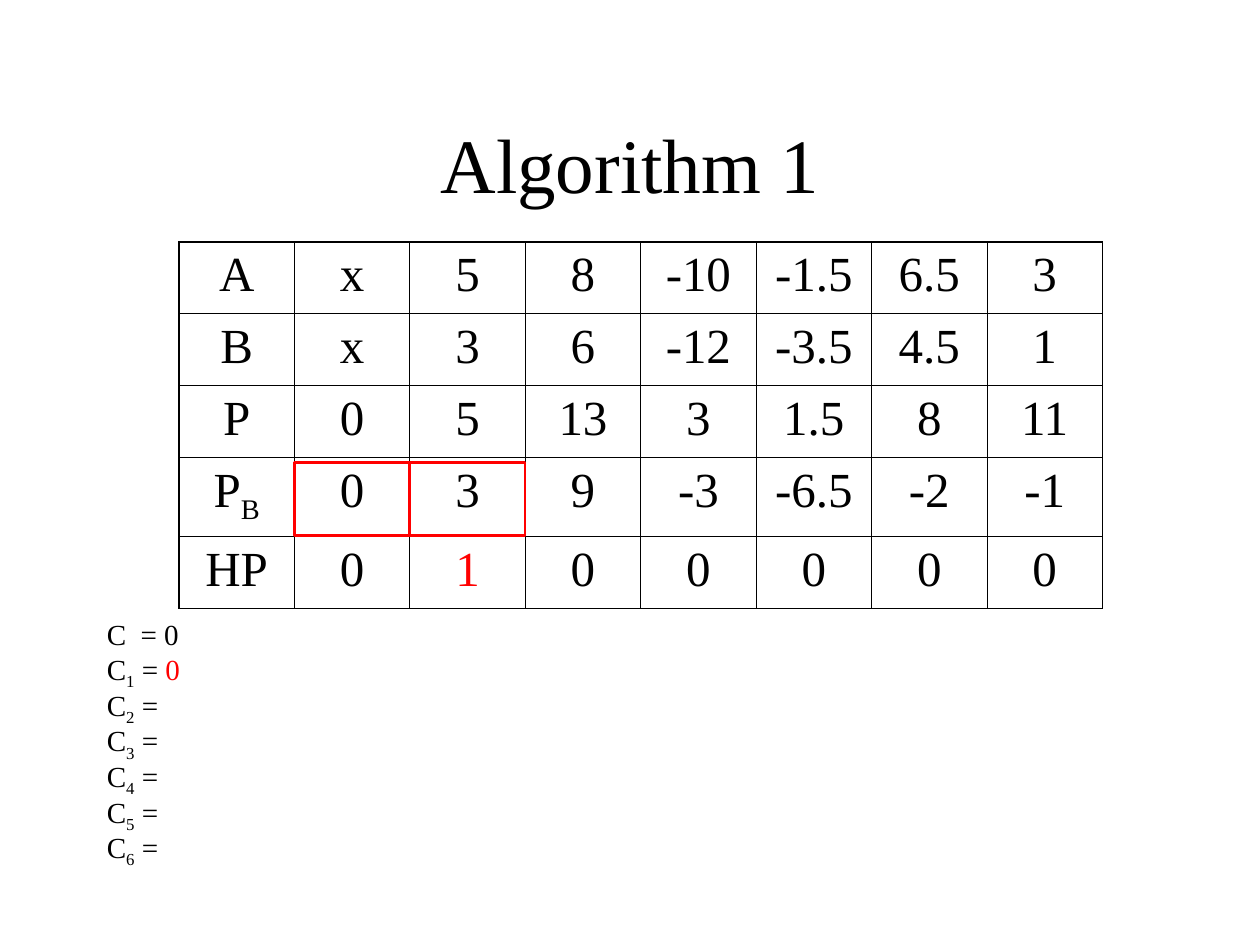
import pptx
import pptx.dml.color
import pptx.enum.shapes
import pptx.enum.text
import pptx.oxml
import pptx.oxml.ns
import pptx.util
from pptx.util import Inches

TITLE = "Algorithm 1"
# Each label is (letters, subscript).
TABLE_ROWS = [
    (("A", ""), ["x", "5", "8", "-10", "-1.5", "6.5", "3"]),
    (("B", ""), ["x", "3", "6", "-12", "-3.5", "4.5", "1"]),
    (("P", ""), ["0", "5", "13", "3", "1.5", "8", "11"]),
    (("P", "B"), ["0", "3", "9", "-3", "-6.5", "-2", "-1"]),
    (("HP", ""), ["0", "1", "0", "0", "0", "0", "0"]),
]
CURRENT_CELL = (4, 2)
COMPARED_COLUMNS = (1, 2)
# Letter, subscript, relation, newly found value.
COUNTERS = [("C", "", "  = 0", ""), ("C", "1", " = ", "0")]
COUNTERS += [("C", str(number), " =", "") for number in range(2, 7)]

THEME = {
    "font": "Times New Roman",
    "ink": pptx.dml.color.RGBColor(0, 0, 0),
    "accent": pptx.dml.color.RGBColor(255, 0, 0),
    "title": 44,
    "cell": 28,
    "counter": 16.6,
    "inner_border": 0.45,
    "outer_border": 1.08,
    "marker": 1.5,
}

TABLE_LEFT, TABLE_TOP = 1.42, 1.92
COLUMN_WIDTH = 7.33 / 8
ROW_HEIGHTS = [0.57, 0.57, 0.57, 0.63, 0.57]
MARKER_TOP, MARKER_HEIGHT = 3.67, 0.58
CENTER = pptx.enum.text.PP_ALIGN.CENTER


def add_run(paragraph, text, size, color="ink", subscript=False):
    if not text:
        return
    run = paragraph.add_run()
    run.text = text
    formats = {"name": THEME["font"], "size": pptx.util.Pt(THEME[size])}
    for attribute, value in formats.items():
        setattr(run.font, attribute, value)
    run.font.color.rgb = THEME[color]
    if subscript:
        run.font._element.set("baseline", "-25000")


def set_borders(cell, outer_sides):
    properties = cell._tc.get_or_add_tcPr()
    for position, side in enumerate("LRTB"):
        kind = "outer_border" if side in outer_sides else "inner_border"
        width = int(pptx.util.Pt(THEME[kind]))
        properties.insert(position, pptx.oxml.parse_xml(
            f'<a:ln{side} {pptx.oxml.ns.nsdecls("a")} w="{width}"><a:solidFill>'
            f'<a:srgbClr val="{THEME["ink"]}"/></a:solidFill></a:ln{side}>'))


def add_title(slide):
    title = slide.shapes.title
    place = {"left": 0.75, "top": 0.67, "width": 8.5, "height": 1.25}
    for attribute, value in place.items():
        setattr(title, attribute, Inches(value))
    title.text_frame.vertical_anchor = pptx.enum.text.MSO_ANCHOR.MIDDLE
    paragraph = title.text_frame.paragraphs[0]
    paragraph.alignment = CENTER
    add_run(paragraph, TITLE, "title")


def add_counters(slide):
    box = slide.shapes.add_textbox(
        Inches(0.75), Inches(4.92), Inches(8.5), Inches(2.17))
    frame = box.text_frame
    frame.word_wrap = True
    for index, (letter, subscript, relation, found) in enumerate(COUNTERS):
        paragraph = frame.add_paragraph() if index else frame.paragraphs[0]
        paragraph.line_spacing = 0.7
        paragraph.space_before = pptx.util.Pt(4.5 if index else 0)
        indent = {"marL": Inches(0.38), "indent": -Inches(0.38)}
        for attribute, value in indent.items():
            paragraph._p.get_or_add_pPr().set(attribute, str(int(value)))
        add_run(paragraph, letter, "counter")
        add_run(paragraph, subscript, "counter", subscript=True)
        add_run(paragraph, relation, "counter")
        add_run(paragraph, found, "counter", "accent")


def add_value_table(slide):
    last_row, last_column = len(TABLE_ROWS) - 1, len(TABLE_ROWS[0][1])
    table = slide.shapes.add_table(
        last_row + 1, last_column + 1, Inches(TABLE_LEFT), Inches(TABLE_TOP),
        Inches(COLUMN_WIDTH * (last_column + 1)), Inches(sum(ROW_HEIGHTS))).table
    table.first_row = table.horz_banding = False
    for column in table.columns:
        column.width = Inches(COLUMN_WIDTH)
    for r, (label, values) in enumerate(TABLE_ROWS):
        table.rows[r].height = Inches(ROW_HEIGHTS[r])
        for c, (text, subscript) in enumerate([label] + [(v, "") for v in values]):
            cell = table.cell(r, c)
            cell.fill.background()
            edges = {"L": c == 0, "R": c == last_column,
                     "T": r == 0, "B": r == last_row}
            set_borders(cell, [side for side, outer in edges.items() if outer])
            paragraph = cell.text_frame.paragraphs[0]
            paragraph.alignment = CENTER
            color = "accent" if (r, c) == CURRENT_CELL else "ink"
            add_run(paragraph, text, "cell", color)
            add_run(paragraph, subscript, "cell", color, subscript=True)


def add_markers(slide):
    for column in COMPARED_COLUMNS:
        marker = slide.shapes.add_shape(
            pptx.enum.shapes.MSO_SHAPE.RECTANGLE,
            Inches(TABLE_LEFT + column * COLUMN_WIDTH), Inches(MARKER_TOP),
            Inches(COLUMN_WIDTH), Inches(MARKER_HEIGHT))
        marker.shadow.inherit = False
        marker.fill.background()
        marker.line.color.rgb = THEME["accent"]
        marker.line.width = pptx.util.Pt(THEME["marker"])


def main():
    presentation = pptx.Presentation()
    presentation.slide_width, presentation.slide_height = Inches(10), Inches(7.5)
    slide = presentation.slides.add_slide(presentation.slide_layouts[5])
    for add_part in (add_title, add_counters, add_value_table, add_markers):
        add_part(slide)
    presentation.save("out.pptx")


if __name__ == "__main__":
    main()
